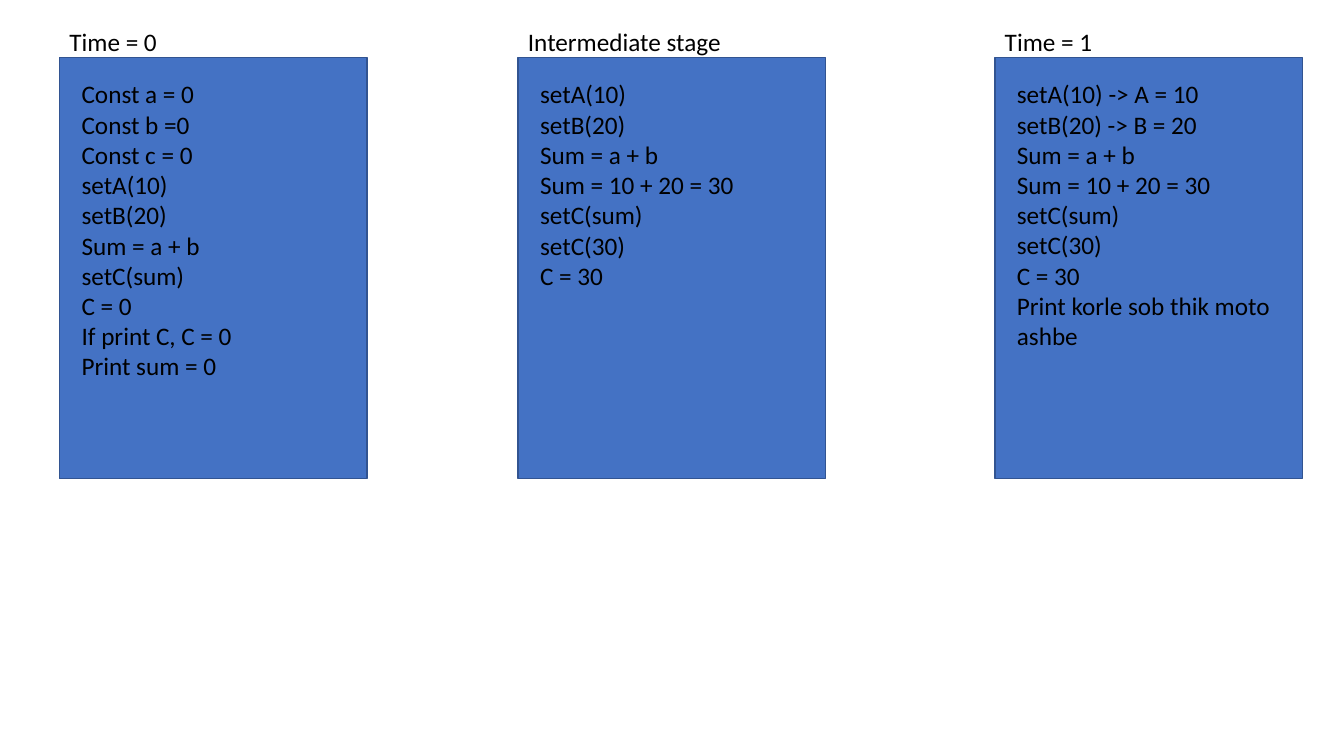
from dataclasses import dataclass

from pptx import Presentation
from pptx.dml.color import RGBColor
from pptx.enum.shapes import MSO_SHAPE
from pptx.enum.text import MSO_ANCHOR, MSO_AUTO_SIZE, PP_ALIGN
from pptx.util import Pt

RECT = MSO_SHAPE.RECTANGLE
TOP = MSO_ANCHOR.TOP
LEFT = PP_ALIGN.LEFT
GROW = MSO_AUTO_SIZE.SHAPE_TO_FIT_TEXT


@dataclass(frozen=True)
class Theme:
    """Colours, font and type size of the slide."""
    font: str = "Calibri"
    size: float = 18
    text: RGBColor = RGBColor(0x00, 0x00, 0x00)
    fill: RGBColor = RGBColor(0x44, 0x72, 0xC4)
    line: RGBColor = RGBColor(0x32, 0x54, 0x91)
    line_width: float = 1


class Builder:
    """Draws styled elements on one slide."""

    def __init__(self, slide, theme):
        self.s = slide
        self.theme = theme

    def box(self, x, y, w, h):
        sp = self.s.shapes.add_shape(RECT, Pt(x), Pt(y), Pt(w), Pt(h))
        sp.shadow.inherit = False
        sp.fill.solid()
        sp.fill.fore_color.rgb = self.theme.fill
        sp.line.color.rgb = self.theme.line
        sp.line.width = Pt(self.theme.line_width)

    def text(self, x, y, w, h, lines):
        sp = self.s.shapes.add_textbox(Pt(x), Pt(y), Pt(w), Pt(h))
        tf = sp.text_frame
        tf.word_wrap = True
        tf.auto_size = GROW
        tf.vertical_anchor = TOP
        for i, line in enumerate(lines):
            p = tf.add_paragraph() if i else tf.paragraphs[0]
            p.alignment = LEFT
            r = p.add_run()
            r.text = line
            r.font.name = self.theme.font
            r.font.size = Pt(self.theme.size)
            r.font.color.rgb = self.theme.text


BOX_TOP, BOX_W, BOX_H = 41, 219.6, 301
TITLE_TOP, TITLE_H = 15.1, 29
CODE_INSET, CODE_TOP = 8.7, 52.6

STAGES = [
    ("Time = 0", 42.5, 201, 269.5, [
        "Const a = 0", "Const b =0", "Const c = 0", "setA(10)", "setB(20)",
        "Sum = a + b", "setC(sum)", "C = 0", "If print C, C = 0",
        "Print sum = 0"]),
    ("Intermediate stage", 370, 201, 181.5, [
        "setA(10)", "setB(20)", "Sum = a + b", "Sum = 10 + 20 = 30",
        "setC(sum)", "setC(30)", "C = 30"]),
    ("Time = 1", 710.6, 211, 225.3, [
        "setA(10) -> A = 10", "setB(20) -> B = 20", "Sum = a + b",
        "Sum = 10 + 20 = 30 setC(sum)", "setC(30)", "C = 30",
        "Print korle sob thik moto ashbe"]),
]


def main():
    prs = Presentation()
    prs.slide_width, prs.slide_height = Pt(960), Pt(540)
    b = Builder(prs.slides.add_slide(prs.slide_layouts[6]), Theme())
    for title, x, code_w, code_h, code in STAGES:
        b.box(x, BOX_TOP, BOX_W, BOX_H)
        b.text(x + CODE_INSET, CODE_TOP, code_w, code_h, code)
        b.text(x, TITLE_TOP, BOX_W, TITLE_H, [title])
    prs.save("out.pptx")


if __name__ == "__main__":
    main()
